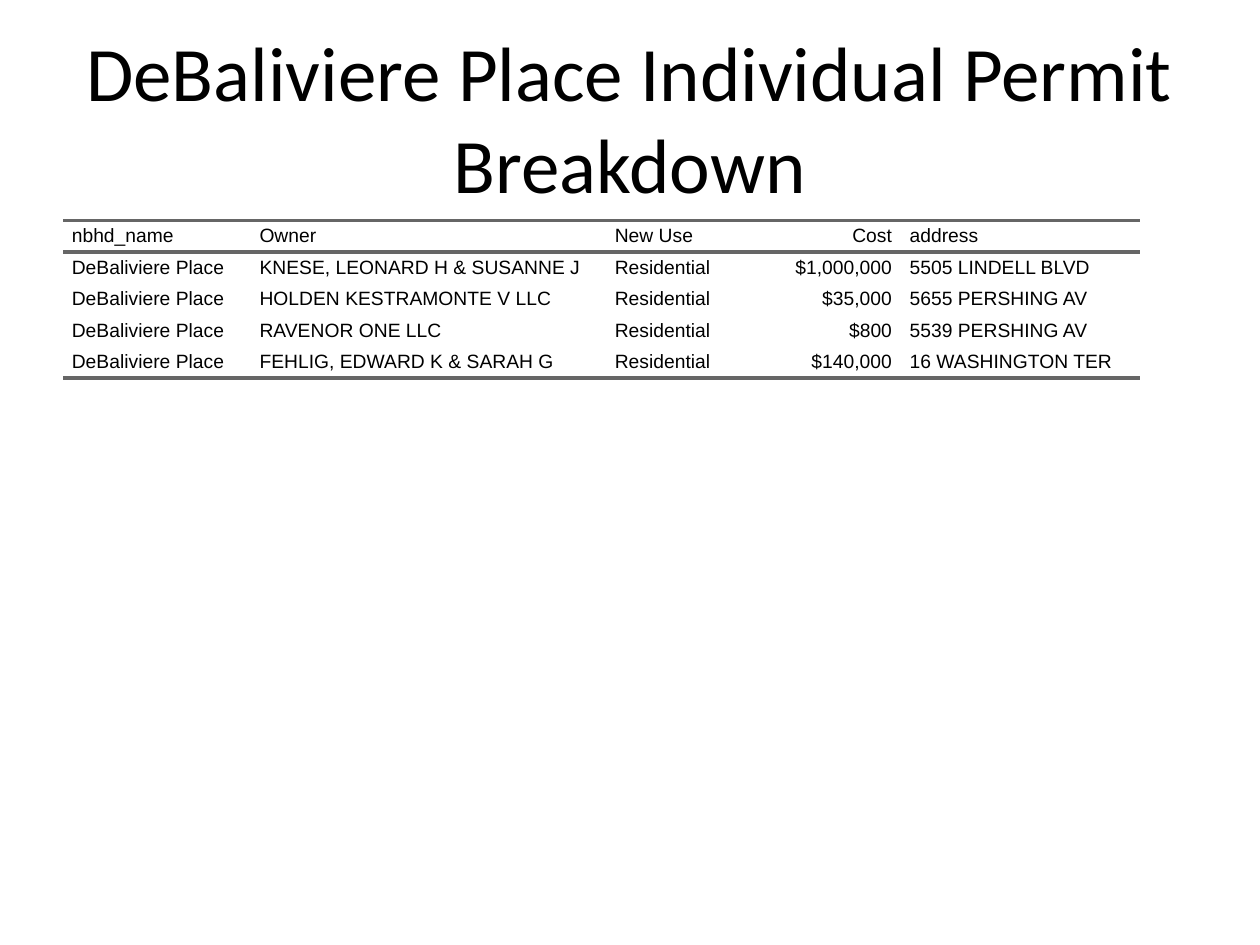
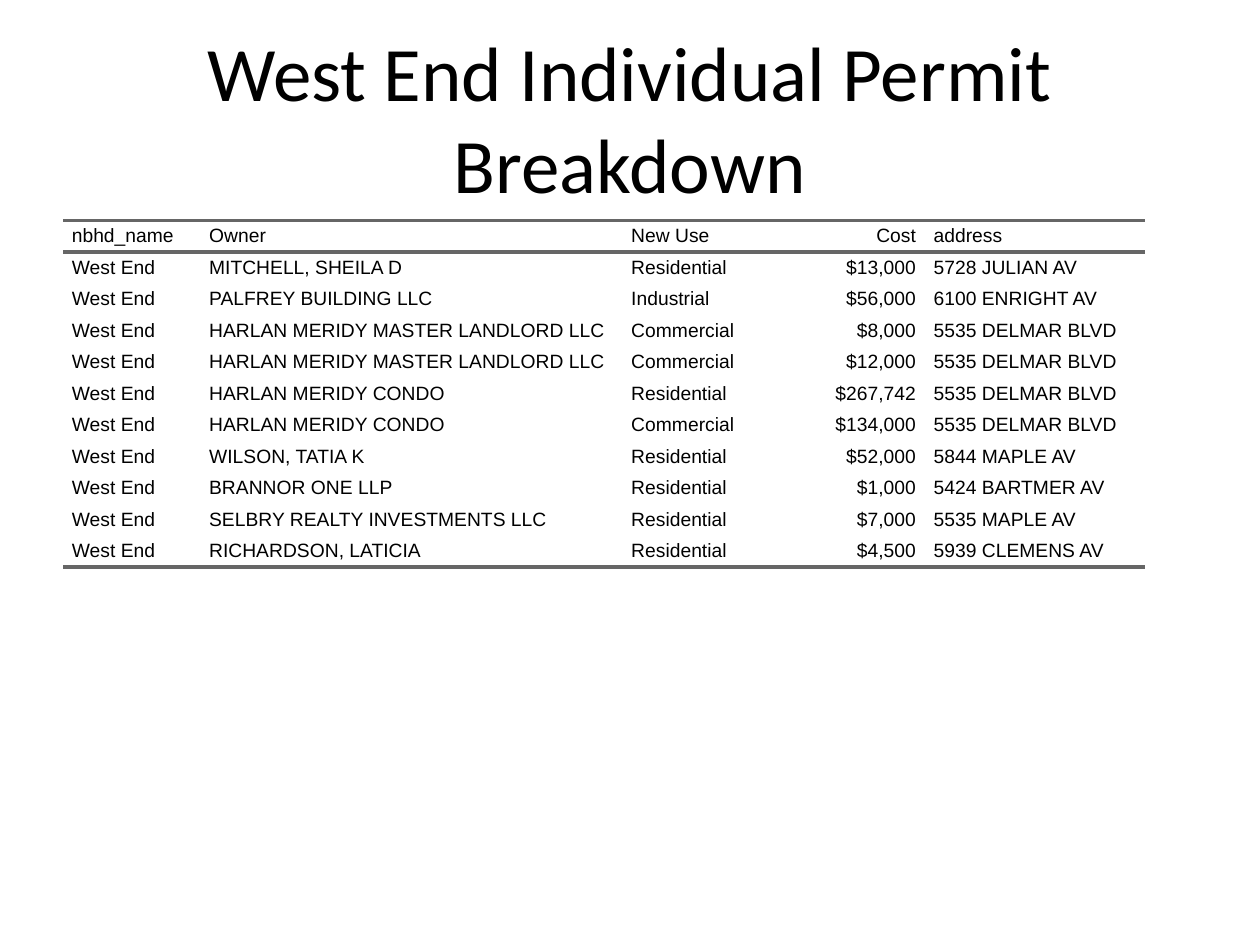
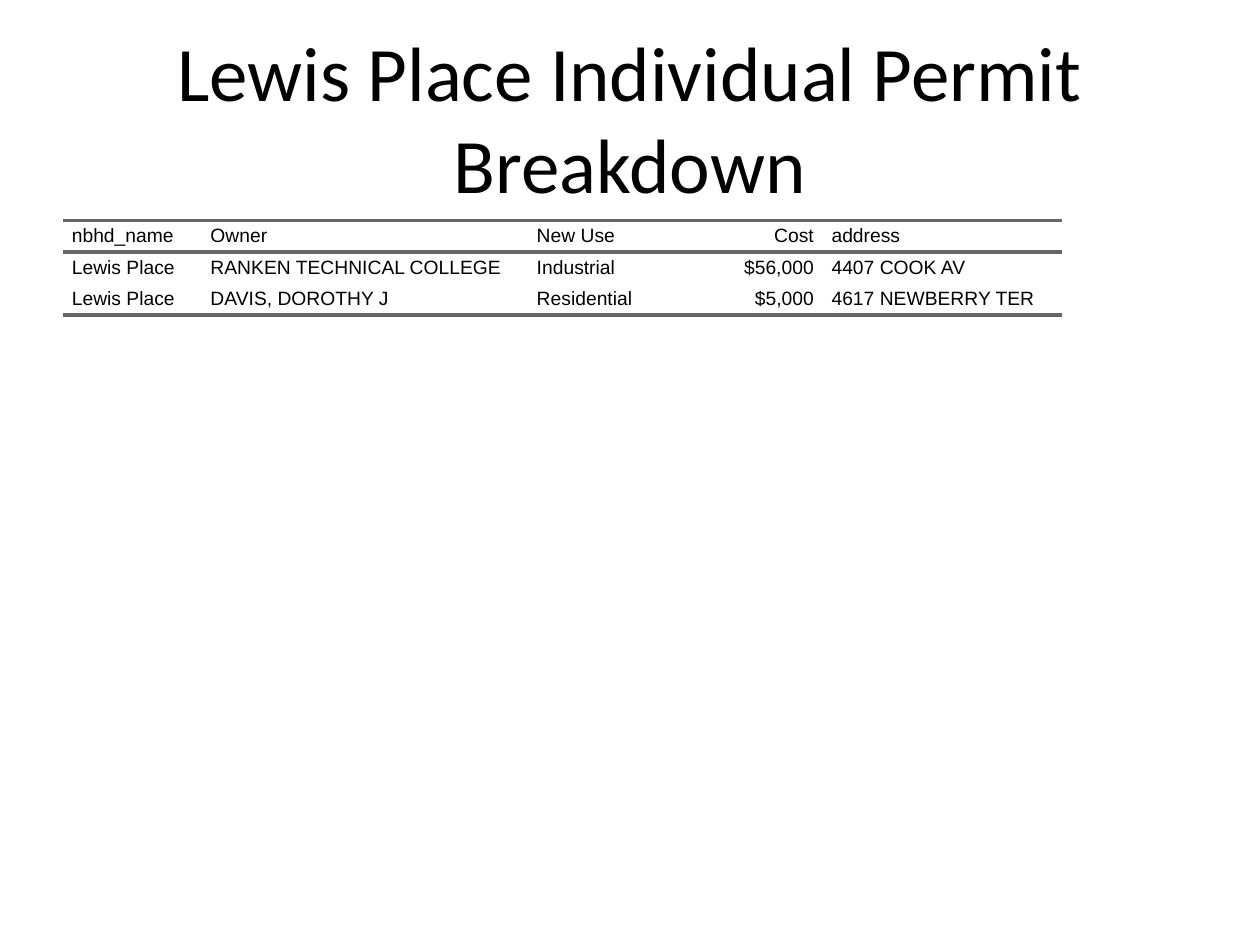
"""Build the individual permit breakdown slides, one table per neighborhood."""
from lxml import etree
from pptx import Presentation, util as u
from pptx.dml.color import RGBColor
from pptx.enum import text
from pptx.oxml.ns import qn

BLACK = "000000"
RULE = "666666"
RULE_WIDTH = u.Pt(2)
ROW_HEIGHT = u.Inches(0.25)
CELL_INDENT = u.Inches(0.07)
COST_COLUMN = 3
HEADINGS = ("nbhd_name", "Owner", "New Use", "Cost", "address")

NEIGHBORHOODS = [
    ("DeBaliviere Place", (1.49, 2.82, 1.04, 1.3, 1.9), [
        ("KNESE, LEONARD H & SUSANNE J", "Residential", "$1,000,000", "5505 LINDELL BLVD"),
        ("HOLDEN KESTRAMONTE V LLC", "Residential", "$35,000", "5655 PERSHING AV"),
        ("RAVENOR ONE LLC", "Residential", "$800", "5539 PERSHING AV"),
        ("FEHLIG, EDWARD K & SARAH G", "Residential", "$140,000", "16 WASHINGTON TER"),
    ]),
    ("West End", (1.09, 3.35, 1.1, 1.3, 1.75), [
        ("MITCHELL, SHEILA D", "Residential", "$13,000", "5728 JULIAN AV"),
        ("PALFREY BUILDING LLC", "Industrial", "$56,000", "6100 ENRIGHT AV"),
        ("HARLAN MERIDY MASTER LANDLORD LLC", "Commercial", "$8,000", "5535 DELMAR BLVD"),
        ("HARLAN MERIDY MASTER LANDLORD LLC", "Commercial", "$12,000", "5535 DELMAR BLVD"),
        ("HARLAN MERIDY CONDO", "Residential", "$267,742", "5535 DELMAR BLVD"),
        ("HARLAN MERIDY CONDO", "Commercial", "$134,000", "5535 DELMAR BLVD"),
        ("WILSON, TATIA K", "Residential", "$52,000", "5844 MAPLE AV"),
        ("BRANNOR ONE LLP", "Residential", "$1,000", "5424 BARTMER AV"),
        ("SELBRY REALTY INVESTMENTS LLC", "Residential", "$7,000", "5535 MAPLE AV"),
        ("RICHARDSON, LATICIA", "Residential", "$4,500", "5939 CLEMENS AV"),
    ]),
    ("Lewis Place", (1.1, 2.59, 1.04, 1.3, 1.9), [
        ("RANKEN TECHNICAL COLLEGE", "Industrial", "$56,000", "4407 COOK AV"),
        ("DAVIS, DOROTHY J", "Residential", "$5,000", "4617 NEWBERRY TER"),
    ]),
]


def write(frame, words, size, font, color=BLACK, align=text.PP_ALIGN.LEFT, indent=0):
    """Fill a text frame with one formatted paragraph."""
    para = frame.paragraphs[0]
    para.alignment = align
    if indent:
        properties = para._p.get_or_add_pPr()
        properties.set("marL", str(indent))
        properties.set("marR", str(indent))
        properties.set("indent", "0")
    span = para.add_run()
    span.text = words
    span.font.size = u.Pt(size)
    span.font.name = font
    span.font.color.rgb = RGBColor.from_string(color)


def set_borders(cell, ruled_sides):
    """Draw a rule on the given sides of a cell and clear the others."""
    properties = cell._tc.get_or_add_tcPr()
    for side in "LRTB":
        line = etree.SubElement(properties, qn(f"a:ln{side}"))
        if side in ruled_sides:
            line.set("w", str(RULE_WIDTH))
            fill = etree.SubElement(line, qn("a:solidFill"))
            etree.SubElement(fill, qn("a:srgbClr"), val=RULE)
        else:
            etree.SubElement(line, qn("a:noFill"))


deck = Presentation()
deck.slide_width, deck.slide_height = u.Inches(10), u.Inches(7.5)

for place, widths, permits in NEIGHBORHOODS:
    page = deck.slides.add_slide(deck.slide_layouts[5])

    title = page.shapes.title
    title.left, title.top = u.Inches(0.5), u.Inches(0.3)
    title.width, title.height = u.Inches(9), u.Inches(1.25)
    title.text_frame.auto_size = text.MSO_AUTO_SIZE.NONE
    title.text_frame.vertical_anchor = text.MSO_ANCHOR.MIDDLE
    write(title.text_frame, f"{place} Individual Permit Breakdown", 44, "Calibri",
          align=text.PP_ALIGN.CENTER)

    rows = [HEADINGS] + [(place, *permit) for permit in permits]
    last = len(rows) - 1
    holder = page.shapes.add_table(len(rows), len(HEADINGS), u.Inches(0.5), u.Inches(1.75),
                                   u.Inches(9), ROW_HEIGHT * len(rows))
    table = holder.table
    table.first_row = table.horz_banding = False
    for column, width in zip(table.columns, widths):
        column.width = u.Inches(width)

    for r, row in enumerate(rows):
        table.rows[r].height = ROW_HEIGHT
        ruled_sides = ("T" if r in (0, 1) else "") + ("B" if r in (0, last) else "")
        for c, words in enumerate(row):
            cell = table.cell(r, c)
            cell.margin_left = cell.margin_right = cell.margin_top = cell.margin_bottom = 0
            cell.vertical_anchor = text.MSO_ANCHOR.MIDDLE
            set_borders(cell, ruled_sides)
            cell.fill.background()
            align = text.PP_ALIGN.RIGHT if c == COST_COLUMN else text.PP_ALIGN.LEFT
            write(cell.text_frame, words, 11, "Arial", align=align, indent=CELL_INDENT)

    holder.width, holder.height = u.Inches(9), u.Inches(4.95)

deck.save("out.pptx")
